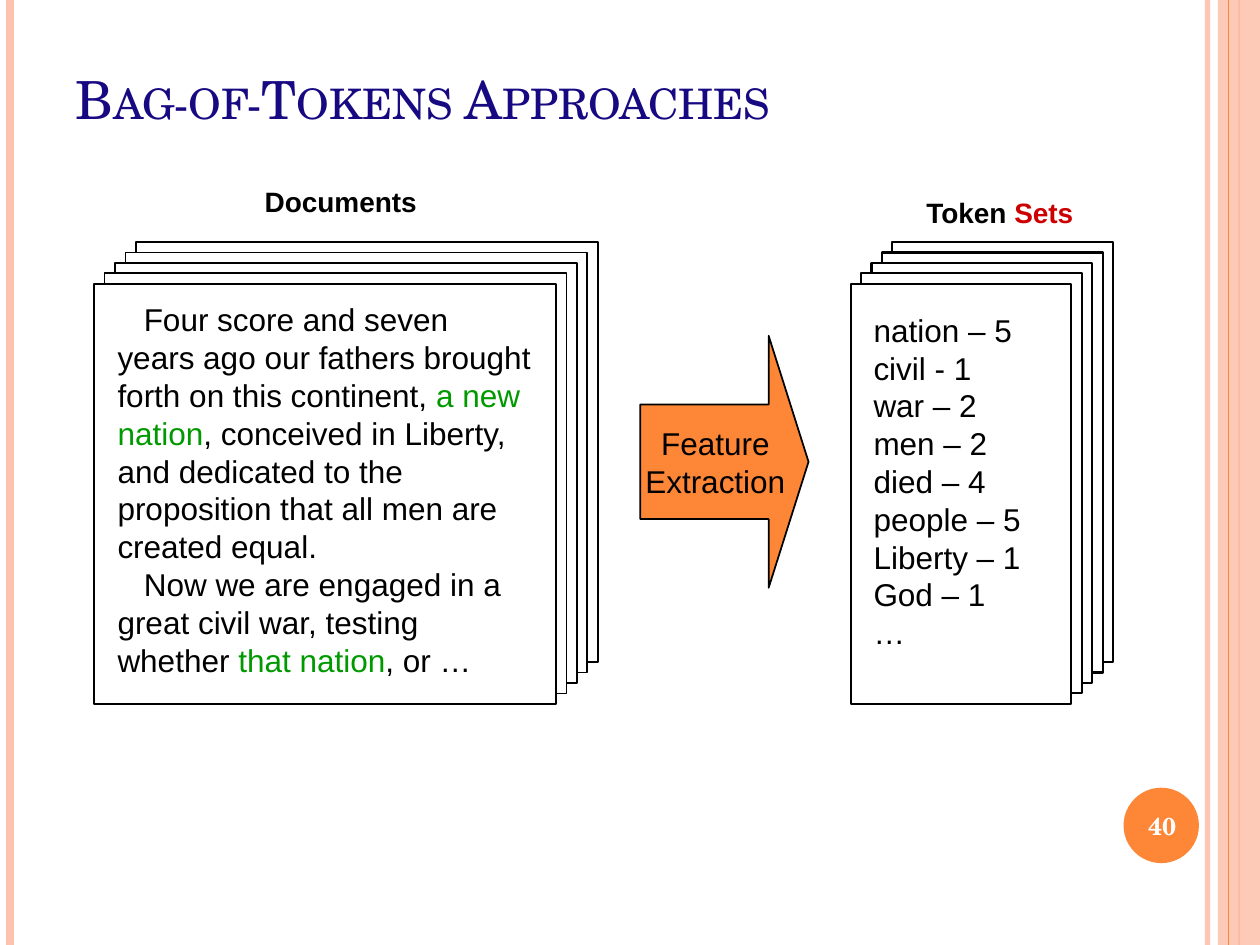
from lxml.etree import SubElement
from pptx import Presentation
from pptx.dml.color import RGBColor
from pptx.enum.shapes import MSO_CONNECTOR as CONNECTOR, MSO_SHAPE as SHAPE
from pptx.enum.text import MSO_ANCHOR as ANCHOR, PP_ALIGN as ALIGN
from pptx.oxml.ns import qn
from pptx.util import Cm, Pt

SERIF, SANS = "TeX Gyre Schola", "Arial"
BLACK, WHITE, NAVY = "000000", "FFFFFF", "170981"
ORANGE, PEACH, GREEN, RED = "FE8637", "FEC3AE", "009900", "CC0000"

# Content: a text is a list of paragraphs, a paragraph a list of (text, colour)
TITLE = [[("Bag-of-Tokens Approaches", NAVY)]]
DOCUMENTS_LABEL = [[("Documents", BLACK)]]
TOKENS_LABEL = [[("Token ", BLACK), ("Sets", RED)]]
SPEECH = [
    [("Four score and seven years ago our fathers brought forth on this continent, ", BLACK),
     ("a new nation", GREEN),
     (", conceived in Liberty, and dedicated to the proposition that all men "
      "are created equal.", BLACK)],
    [("Now we are engaged in a great civil war, testing whether ", BLACK),
     ("that nation", GREEN), (", or …", BLACK)],
]
TOKENS = ["nation – 5", "civil - 1", "war – 2", "men – 2", "died – 4",
          "people – 5", "Liberty – 1", "God – 1", "…"]
TOKEN_LINES = [[(token, BLACK)] for token in TOKENS]
ARROW_LINES = [[("Feature", BLACK)], [("Extraction", BLACK)]]
PAGE_NUMBER = [[("40", WHITE)]]

# Layout in cm
SLIDE_WIDTH, SLIDE_HEIGHT = 25.4, 19.05
SHEETS, SHEET_STEP = 5, 0.21
STACK_TOP, STACK_HEIGHT = 5.72, 8.47
EDGE_LINES = [  # x, colour, width in points, opacity in percent
    (24.34, PEACH, 3, 93), (0.21, PEACH, 4.5, 100), (24.98, ORANGE, 1.5, 100)]
INNER_EDGE_LINE = (24.77, ORANGE, 0.75, 100)


def rgb(value):
    return RGBColor.from_string(value)


def set_opacity(element, percent):
    if percent < 100:
        colour = next(element.iter(qn("a:srgbClr")))
        SubElement(colour, qn("a:alpha")).set("val", str(percent * 1000))


def add_edge_line(slide, x, colour, width, opacity):
    line = slide.shapes.add_connector(
        CONNECTOR.STRAIGHT, Cm(x), Cm(0), Cm(x), Cm(SLIDE_HEIGHT))
    line.line.color.rgb = rgb(colour)
    line.line.width = Pt(width)
    properties = line._element.spPr
    set_opacity(properties, opacity)
    SubElement(properties, qn("a:effectLst"))


def add_shape(shapes, kind, box, fill, line_width=0):
    shape = shapes.add_shape(kind, *map(Cm, box))
    shape.shadow.inherit = False
    shape.fill.solid()
    shape.fill.fore_color.rgb = rgb(fill)
    if line_width:
        shape.line.color.rgb = rgb(BLACK)
        shape.line.width = Pt(line_width)
    else:
        shape.line.fill.background()
    return shape


def write(shape, paragraphs, size, font=SANS, bold=False, align=ALIGN.LEFT,
          anchor=ANCHOR.TOP, wrap=True, indent=0, small_caps=False):
    frame = shape.text_frame
    frame.word_wrap = wrap
    frame.vertical_anchor = anchor
    for index, parts in enumerate(paragraphs):
        paragraph = frame.add_paragraph() if index else frame.paragraphs[0]
        paragraph.alignment = align
        if indent:
            paragraph._p.get_or_add_pPr().set("indent", str(Cm(indent)))
        for text, colour in parts:
            run = paragraph.add_run()
            run.text = text
            run.font.name, run.font.size, run.font.bold = font, Pt(size), bold
            run.font.color.rgb = rgb(colour)
            if small_caps:
                run._r.get_or_add_rPr().set("cap", "small")


def add_text(shapes, box, paragraphs, size, **style):
    write(shapes.add_textbox(*map(Cm, box)), paragraphs, size, **style)


def add_stack(slide, left, width, line_width, text_box, paragraphs, indent=0):
    """Sheets from back to front, with the text on the front one."""
    shapes = slide.shapes.add_group_shape().shapes
    for depth in reversed(range(SHEETS)):
        shift = depth * SHEET_STEP
        box = (left + shift, STACK_TOP - shift, width, STACK_HEIGHT)
        add_shape(shapes, SHAPE.RECTANGLE, box, WHITE, line_width)
    add_text(shapes, text_box, paragraphs, 18, indent=indent)


def main():
    presentation = Presentation()
    presentation.slide_width, presentation.slide_height = Cm(SLIDE_WIDTH), Cm(SLIDE_HEIGHT)
    slide = presentation.slides.add_slide(presentation.slide_layouts[6])
    shapes = slide.shapes

    # Edge decoration
    for edge_line in EDGE_LINES:
        add_edge_line(slide, *edge_line)
    band = add_shape(shapes, SHAPE.RECTANGLE, (24.55, 0, 0.85, SLIDE_HEIGHT), PEACH)
    set_opacity(band._element.spPr, 87)
    add_edge_line(slide, *INNER_EDGE_LINE)
    add_shape(shapes, SHAPE.OVAL, (22.65, 15.88, 1.52, 1.52), ORANGE)

    # Title
    add_text(shapes, (1.27, 0.85, 22.86, 1.9), TITLE, 30, font=SERIF,
             anchor=ANCHOR.BOTTOM, small_caps=True)

    # Documents and token sets
    add_stack(slide, 1.9, 9.31, 1, (2.12, 5.93, 8.89, 7.87), SPEECH, indent=0.53)
    add_stack(slide, 17.15, 4.45, 1.25, (17.36, 6.14, 4.02, 7.11), TOKEN_LINES)

    # Arrow between them
    arrow = add_shape(shapes, SHAPE.RIGHT_ARROW, (12.91, 6.77, 3.39, 5.08), ORANGE, 1)
    arrow.adjustments[0], arrow.adjustments[1] = 0.455, 0.237
    write(arrow, ARROW_LINES, 18, align=ALIGN.CENTER, anchor=ANCHOR.MIDDLE, wrap=False)

    # Labels and page number
    for box, label in [((5.08, 3.6, 3.58, 0.94), DOCUMENTS_LABEL),
                       ((18.39, 3.81, 3.53, 0.94), TOKENS_LABEL)]:
        add_text(shapes, box, label, 16, bold=True, align=ALIGN.CENTER, wrap=False)
    add_text(shapes, (22.58, 15.93, 1.7, 1.45), PAGE_NUMBER, 14, font=SERIF,
             bold=True, align=ALIGN.CENTER, anchor=ANCHOR.MIDDLE)

    presentation.save("out.pptx")


if __name__ == "__main__":
    main()
